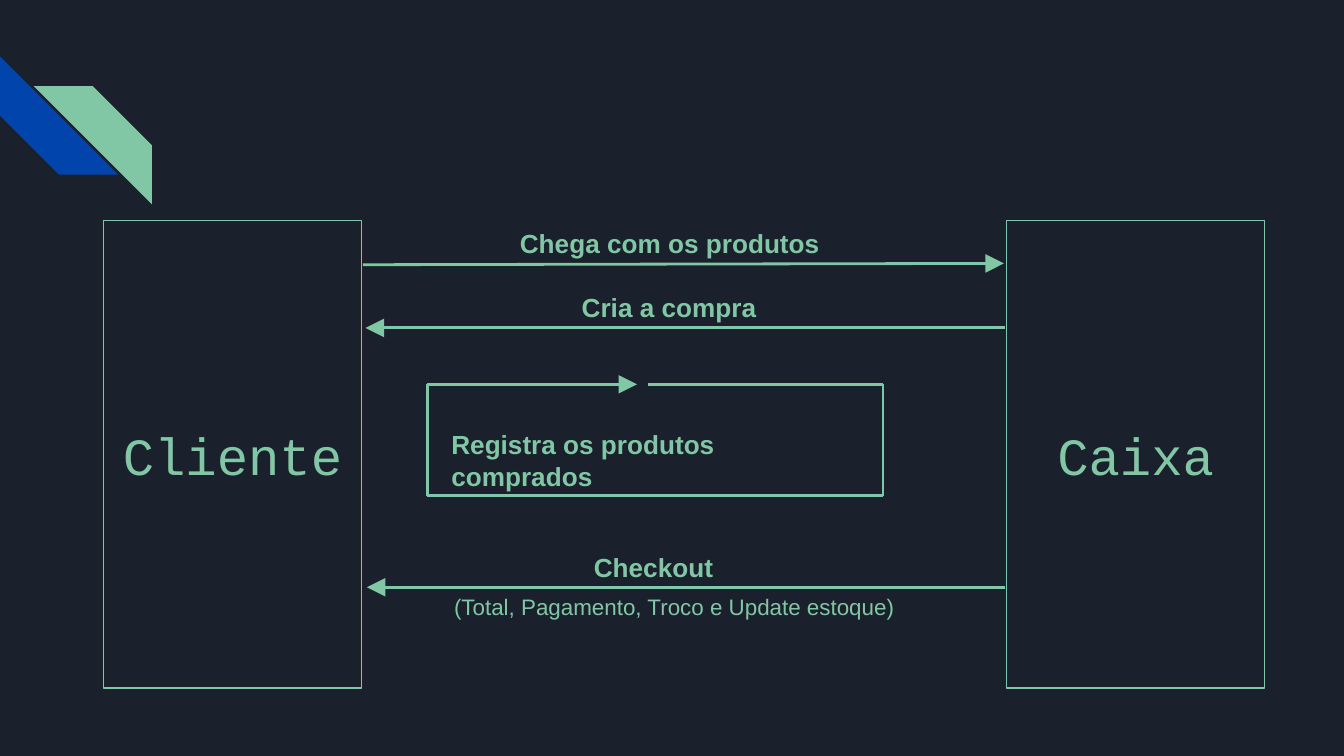
from pptx import Presentation
from pptx.dml.color import RGBColor
from pptx.enum.shapes import MSO_CONNECTOR, MSO_SHAPE
from pptx.enum.text import MSO_ANCHOR, PP_ALIGN
from pptx.oxml.ns import qn
from pptx.util import Inches, Pt
from lxml.etree import SubElement

COLORS = {"bg": "1B212C", "blue": "0145AC", "green": "82C7A5"}

STRIPES = [(0, 0.42, 270, "blue"), (0.25, 0.64, 90, "green")]
ACTORS = [("Cliente", 0.77), ("Caixa", 7.49)]
LABELS = [
    ("Chega com os produtos", 3.77, 1.59, 2.46, 14, True),
    ("Cria a compra", 4.23, 2.07, 1.54, 14, True),
    ("Registra os produtos comprados", 3.26, 3.09, 3.26, 14, True),
    ("Checkout", 4.32, 4, 1.13, 14, True),
    ("(Total, Pagamento, Troco e Update estoque)", 3.28, 4.31, 3.62, 12, False),
]
MESSAGES = [
    (2.7, 1.97, 7.47, 1.96),
    (7.48, 2.44, 2.72, 2.44),
    (7.48, 4.37, 2.73, 4.37),
]
LOOP_LEFT, LOOP_TOP, LOOP_RIGHT, LOOP_BOTTOM = 3.18, 2.86, 6.57, 3.69
LOOP_ARROW = (LOOP_LEFT, LOOP_TOP, 4.74, LOOP_TOP)
LOOP_PATH = [
    (LOOP_LEFT, LOOP_TOP),
    (LOOP_LEFT, LOOP_BOTTOM),
    (LOOP_RIGHT, LOOP_BOTTOM),
    (LOOP_RIGHT, LOOP_TOP),
    (4.82, LOOP_TOP),
]


def rgb(name):
    return RGBColor.from_string(COLORS[name])


def write(tf, text, size, font, bold=False):
    tf.word_wrap = True
    tf.margin_left = tf.margin_right = Inches(0.1)
    tf.margin_top = tf.margin_bottom = Inches(0.1)
    p = tf.paragraphs[0]
    r = p.add_run()
    r.text = text
    r.font.size = Pt(size)
    r.font.name = font
    r.font.bold = bold
    r.font.color.rgb = rgb("green")
    return p


def add_stripe(s, x, y, rotation, color):
    sp = s.shapes.add_shape(MSO_SHAPE.DIAGONAL_STRIPE, Inches(x), Inches(y),
                            Inches(0.88), Inches(0.88))
    sp.shadow.inherit = False
    sp.rotation = rotation
    sp.fill.solid()
    sp.fill.fore_color.rgb = rgb(color)
    sp.line.fill.background()


def add_actor(s, name, x):
    sp = s.shapes.add_shape(MSO_SHAPE.RECTANGLE, Inches(x), Inches(1.64),
                            Inches(1.92), Inches(3.48))
    sp.shadow.inherit = False
    sp.fill.background()
    sp.line.color.rgb = rgb("green")
    sp.line.width = Pt(0.75)
    tf = sp.text_frame
    tf.vertical_anchor = MSO_ANCHOR.MIDDLE
    p = write(tf, name, 28, "Courier New")
    p.alignment = PP_ALIGN.CENTER


def add_label(s, text, x, y, width, size, bold):
    box = s.shapes.add_textbox(Inches(x), Inches(y), Inches(width), Inches(0.38))
    write(box.text_frame, text, size, "Arial", bold)


def add_line(s, x1, y1, x2, y2, arrow=False):
    line = s.shapes.add_connector(MSO_CONNECTOR.STRAIGHT, Inches(x1), Inches(y1),
                                  Inches(x2), Inches(y2))
    line.line.color.rgb = rgb("green")
    line.line.width = Pt(1.5)
    spPr = line._element.spPr
    if arrow:
        SubElement(spPr.find(qn("a:ln")), qn("a:tailEnd"),
                   type="triangle", w="lg", len="lg")
    SubElement(spPr, qn("a:effectLst"))


def main():
    prs = Presentation()
    prs.slide_width = Inches(10)
    prs.slide_height = Inches(10 * 9 / 16)
    s = prs.slides.add_slide(prs.slide_layouts[6])
    s.background.fill.solid()
    s.background.fill.fore_color.rgb = rgb("bg")

    for stripe in STRIPES:
        add_stripe(s, *stripe)
    for actor in ACTORS:
        add_actor(s, *actor)
    for message in MESSAGES + [LOOP_ARROW]:
        add_line(s, *message, arrow=True)
    for start, end in zip(LOOP_PATH, LOOP_PATH[1:]):
        add_line(s, *start, *end)
    for label in LABELS:
        add_label(s, *label)

    prs.save("out.pptx")


if __name__ == "__main__":
    main()
